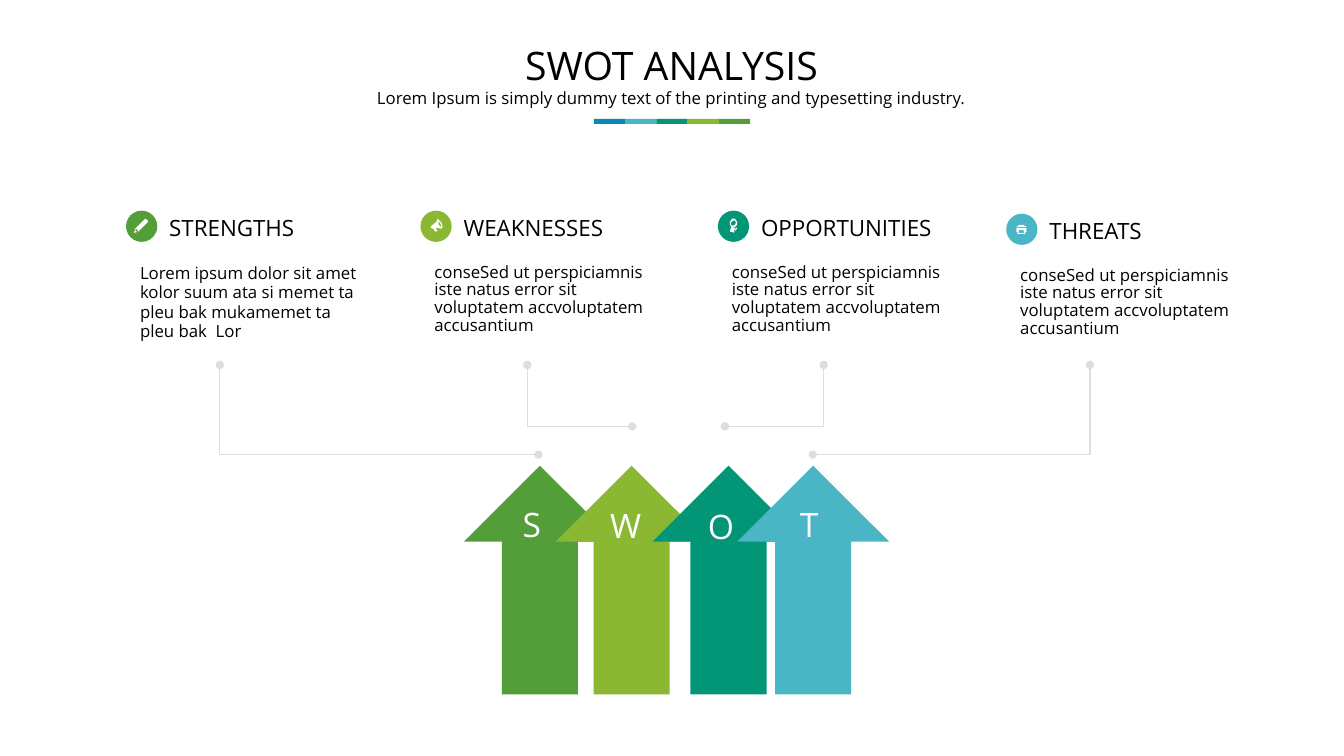
import pptx
import pptx.util
import pptx.dml.color
import pptx.enum.shapes
import pptx.enum.text
import pptx.oxml
import pptx.oxml.ns

PX = 9144
FONT = "Open Sans"
SHAPE = pptx.enum.shapes.MSO_SHAPE
ALIGN = pptx.enum.text.PP_ALIGN
GREEN, LIME, TEAL, SKY, BLUE = "549E39", "8AB833", "029676", "4AB5C4", "0989B1"
BLACK, WHITE, GREY = "000000", "FFFFFF", "DCDEE0"


def paint(color_format, color):
    color_format.fill.solid()
    color_format.fill.fore_color.rgb = pptx.dml.color.RGBColor.from_string(color)
    color_format.line.fill.background()
    color_format.shadow.inherit = False


def write(shape, box, text, size, color, alignment, spacing=1.0):
    shape.left, shape.top, shape.width, shape.height = [value * PX for value in box]
    frame = shape.text_frame
    frame.text = text
    frame.word_wrap = True
    frame.auto_size = pptx.enum.text.MSO_AUTO_SIZE.NONE
    paragraph = frame.paragraphs[0]
    paragraph.alignment = alignment
    paragraph.line_spacing = spacing
    paragraph.font.name = FONT
    paragraph.font.size = pptx.util.Pt(size)
    paragraph.font.color.rgb = pptx.dml.color.RGBColor.from_string(color)


presentation = pptx.Presentation()
presentation.slide_width = 1333 * PX
presentation.slide_height = 750 * PX
slide = presentation.slides.add_slide(presentation.slide_layouts[5])
shapes = slide.shapes

write(shapes.title, (271, 40, 790, 49), "SWOT ANALYSIS", 28, BLACK, ALIGN.CENTER)
shapes.title.text_frame.vertical_anchor = pptx.enum.text.MSO_ANCHOR.MIDDLE
write(shapes.add_textbox(0, 0, 0, 0), (329, 82, 674, 30),
      "Lorem Ipsum is simply dummy text of the printing and typesetting industry.",
      12, BLACK, ALIGN.CENTER)

for index, color in enumerate([BLUE, SKY, TEAL, LIME, GREEN]):
    stripe = shapes.add_shape(
        SHAPE.RECTANGLE, (589 + 31 * index) * PX, 118 * PX, 31 * PX, 5 * PX)
    paint(stripe, color)

pencil = [
    [(21, 9), (19, 8), (9, 18), (8, 22), (12, 21), (22, 11)],
    [(12, 21), (11, 21), (9, 20), (10, 18), (12, 20)],
]
megaphone = [
    [(17, 8), (16, 11), (11, 15), (10, 17), (12, 18), (13, 18), (14, 20), (15, 21),
     (17, 20), (16, 19), (15, 17), (16, 17), (21, 18), (22, 16), (21, 12)],
    [(21, 17), (18, 14), (18, 10), (20, 13)],
]
ribbon = [
    [(14, 8), (17, 8), (19, 11), (19, 14), (17, 16), (14, 16), (12, 14), (12, 11)],
    [(15, 10), (13, 12), (13, 14), (15, 15), (17, 14), (18, 12), (17, 10)],
    [(13, 16), (12, 21), (14, 21), (16, 22), (17, 17)],
    [(18, 16), (17, 20), (19, 18)],
]
printer = [
    [(12, 19), (13, 16), (17, 16), (18, 19)],
    [(20, 14), (10, 14), (10, 18), (11, 18), (11, 20), (19, 20), (19, 18), (20, 18)],
    [(10, 13), (20, 13), (18, 12), (17, 11), (13, 11), (12, 12)],
]

lorem = "Lorem ipsum dolor sit amet  kolor suum ata si memet ta pleu bak mukamemet ta pleu bak  Lor"
sed = "conseSed ut perspiciamnis iste natus error sit voluptatem accvoluptatem accusantium"
sections = [
    ("STRENGTHS", lorem, 0.96, GREEN, pencil, 125, 209),
    ("WEAKNESSES", sed, 0.88, LIME, megaphone, 417, 209),
    ("OPPORTUNITIES", sed, 0.88, TEAL, ribbon, 712, 209),
    ("THREATS", sed, 0.88, SKY, printer, 998, 212),
]
for heading, body, spacing, color, icon, left, top in sections:
    badge = shapes.add_group_shape()
    circle = badge.shapes.add_shape(SHAPE.OVAL, left * PX, top * PX, 31 * PX, 31 * PX)
    paint(circle, color)
    builder = badge.shapes.build_freeform(*icon[0][0], scale=PX)
    builder.add_line_segments(icon[0][1:], close=True)
    for contour in icon[1:]:
        builder.move_to(*contour[0])
        builder.add_line_segments(contour[1:], close=True)
    paint(builder.convert_to_shape(left * PX, top * PX), WHITE)
    write(shapes.add_textbox(0, 0, 0, 0), (left + 33, top - 2, 221, 32),
          heading, 16, BLACK, ALIGN.LEFT)
    write(shapes.add_textbox(0, 0, 0, 0), (left + 4, top + 48, 241, 100),
          body, 12, BLACK, ALIGN.LEFT, spacing)

arrows = [
    (460, GREEN, "S", (504, 495, 47, 47)),
    (551, LIME, "W", (588, 496, 65, 47)),
    (647, TEAL, "O", (676, 497, 78, 58)),
    (731, SKY, "T", (775, 495, 55, 58)),
]
for left, color, letter, box in arrows:
    arrow = shapes.add_shape(SHAPE.UP_ARROW, left * PX, 462 * PX, 151 * PX, 227 * PX)
    paint(arrow, color)
for left, color, letter, box in arrows:
    write(shapes.add_textbox(0, 0, 0, 0), box, letter, 24, WHITE, ALIGN.CENTER)

for start, end, bottom in [(218, 534, 451), (523, 627, 423), (817, 719, 423), (1081, 806, 451)]:
    builder = shapes.build_freeform(start, 362, scale=PX)
    builder.add_line_segments([(start, bottom), (end, bottom)], close=False)
    elbow = builder.convert_to_shape()
    elbow.shadow.inherit = False
    elbow.fill.background()
    elbow.line.color.rgb = pptx.dml.color.RGBColor.from_string(GREY)
    elbow.line.width = pptx.util.Pt(1)
    outline = elbow.line._get_or_add_ln()
    for tag in ("headEnd", "tailEnd"):
        outline.append(pptx.oxml.parse_xml(
            f'<a:{tag} {pptx.oxml.ns.nsdecls("a")} type="oval"/>'))

presentation.save("out.pptx")
